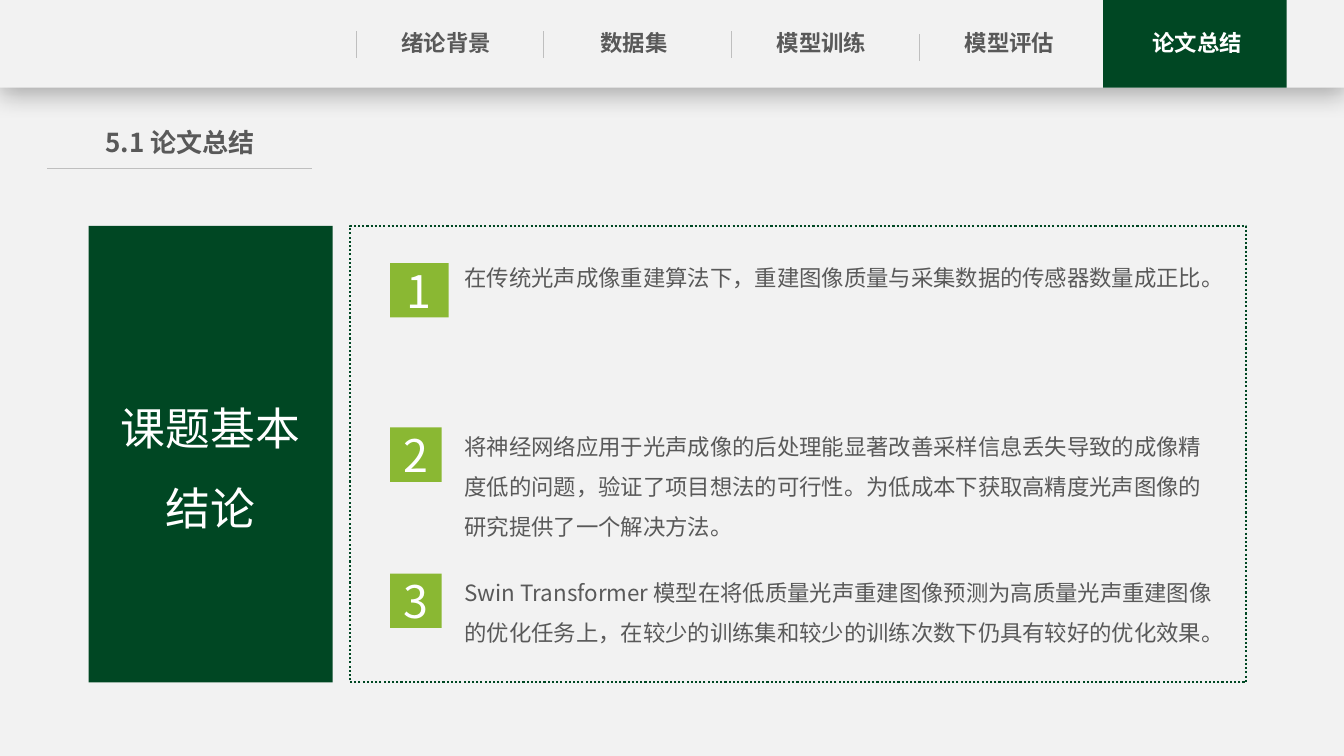
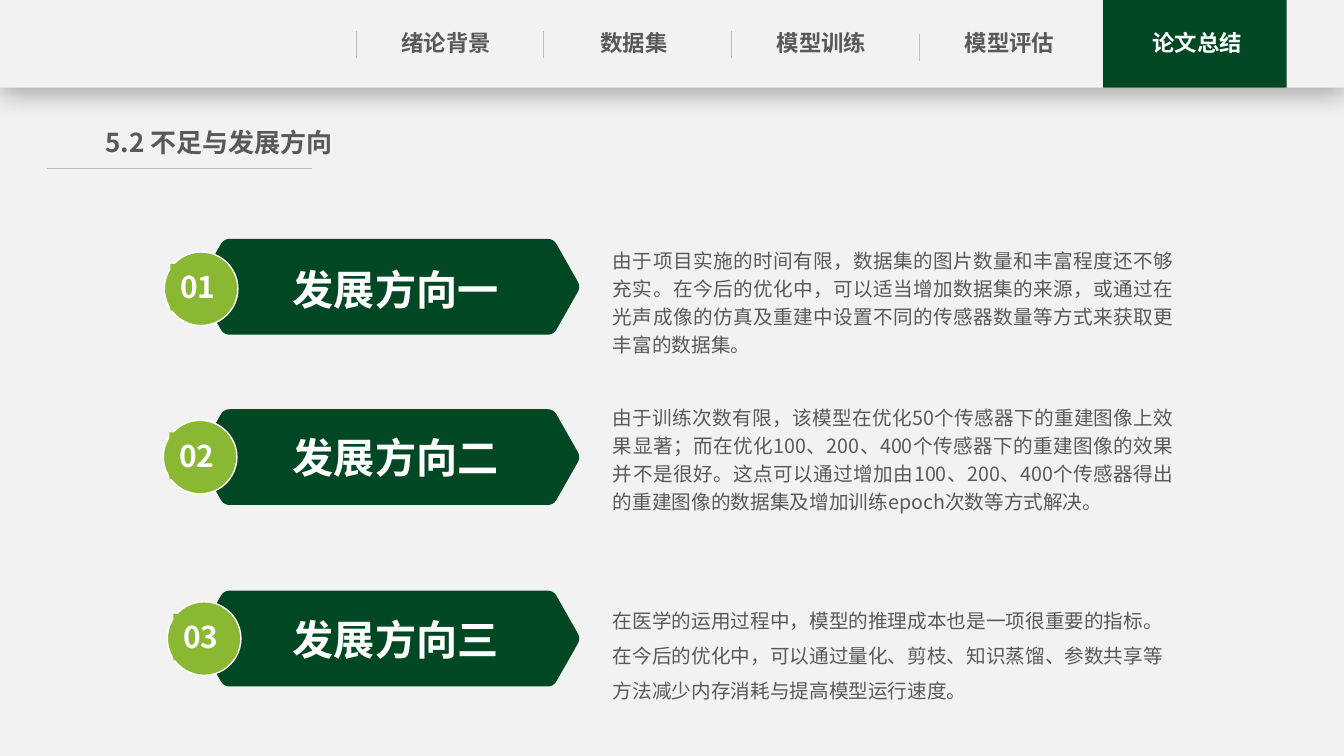
from dataclasses import dataclass
from typing import Optional, Union

import lxml.etree
import pptx
import pptx.dml.color
import pptx.enum.dml
import pptx.enum.shapes
import pptx.enum.text
import pptx.oxml.ns
import pptx.shapes.autoshape
import pptx.shapes.base
import pptx.slide
import pptx.util

Inches = pptx.util.Inches
Pt = pptx.util.Pt
Shape = pptx.shapes.autoshape.Shape
Slide = pptx.slide.Slide
Align = pptx.enum.text.PP_ALIGN
Anchor = pptx.enum.text.MSO_ANCHOR
Preset = pptx.enum.shapes.MSO_SHAPE
qn = pptx.oxml.ns.qn


@dataclass(frozen=True)
class Theme:
    font: str = "Noto Sans CJK SC"
    paper: str = "F2F2F2"
    dark: str = "004723"
    accent: str = "8AB833"
    ink: str = "595959"
    rule: str = "BFBFBF"
    white: str = "FFFFFF"
    nav_size: float = 16
    section_size: float = 18.6
    body_size: float = 16
    detail_size: float = 14
    display_size: float = 32
    number_size: float = 21.4
    heading_size: float = 29.4


THEME = Theme()


@dataclass(frozen=True)
class Box:
    left: float
    top: float
    width: float
    height: float

    def lengths(self) -> tuple[pptx.util.Length, ...]:
        return tuple(Inches(v) for v in (self.left, self.top, self.width, self.height))


@dataclass(frozen=True)
class TextStyle:
    size: float
    color: str = THEME.ink
    bold: bool = False
    align: Align = Align.LEFT
    spacing: Optional[Union[float, pptx.util.Length]] = None
    inset_x: float = 0.1
    inset_y: float = 0.05
    anchor: Anchor = Anchor.TOP
    wrap: bool = True
    grow: bool = True


NAV = TextStyle(THEME.nav_size, bold=True, align=Align.CENTER, inset_x=0)
NAV_CURRENT = TextStyle(THEME.nav_size, THEME.white, True, Align.CENTER, inset_x=0)
SECTION = TextStyle(THEME.section_size, bold=True, align=Align.CENTER, inset_x=0)
FINDING = TextStyle(THEME.body_size, spacing=1.5)
FINDING_NUMBER = TextStyle(THEME.display_size, THEME.white, align=Align.CENTER,
                           anchor=Anchor.MIDDLE, grow=False)
PANEL = TextStyle(THEME.display_size, THEME.white, align=Align.CENTER, spacing=1.5,
                  anchor=Anchor.MIDDLE, grow=False)
DETAIL = TextStyle(THEME.detail_size, align=Align.JUSTIFY, spacing=Pt(20), inset_x=0, inset_y=0)
DETAIL_LOOSE = TextStyle(THEME.detail_size, spacing=1.5, inset_x=0, inset_y=0)
DIRECTION_NUMBER = TextStyle(THEME.number_size, THEME.white, True, wrap=False)
DIRECTION_TITLE = TextStyle(THEME.heading_size, THEME.white, True, Align.CENTER,
                            inset_x=0, inset_y=0)


@dataclass(frozen=True)
class Finding:
    number: str
    text: str
    text_box: Box
    badge_top: float
    badge_width: float = 0.51


@dataclass(frozen=True)
class Direction:
    number: str
    title: str
    arrow_top: float
    badge_left: float
    badge_top: float
    detail: str
    detail_top: float
    detail_height: float
    detail_style: TextStyle = DETAIL


CHAPTERS = ("绪论背景", "数据集", "模型训练", "模型评估", "论文总结")
NAV_PITCH = 1.8625
DIVIDER_TOPS = (0.31, 0.31, 0.31, 0.34)

FINDINGS = (
    Finding("1", "在传统光声成像重建算法下，重建图像质量与采集数据的传感器数量成正比。",
            Box(4.51, 2.44, 7.59, 0.5), 2.61, 0.58),
    Finding("2", "将神经网络应用于光声成像的后处理能显著改善采样信息丢失导致的成像精度低的问题，"
            "验证了项目想法的可行性。为低成本下获取高精度光声图像的研究提供了一个解决方法。",
            Box(4.51, 4.11, 7.68, 1.31), 4.24),
    Finding("3", "Swin Transformer 模型在将低质量光声重建图像预测为高质量光声重建图像的优化任务上，"
            "在较少的训练集和较少的训练次数下仍具有较好的优化效果。",
            Box(4.51, 5.56, 7.68, 0.91), 5.69),
)

DIRECTIONS = (
    Direction("01", "发展方向一", 2.37, 1.63, 2.5,
              "由于项目实施的时间有限，数据集的图片数量和丰富程度还不够充实。在今后的优化中，"
              "可以适当增加数据集的来源，或通过在光声成像的仿真及重建中设置不同的传感器数量"
              "等方式来获取更丰富的数据集。", 2.42, 1.12),
    Direction("02", "发展方向二", 4.06, 1.62, 4.17,
              "由于训练次数有限，该模型在优化50个传感器下的重建图像上效果显著；而在优化"
              "100、200、400个传感器下的重建图像的效果并不是很好。这点可以通过增加由"
              "100、200、400个传感器得出的重建图像的数据集及增加训练epoch次数等方式解决。",
              3.98, 1.12),
    Direction("03", "发展方向三", 5.86, 1.66, 5.97,
              "在医学的运用过程中，模型的推理成本也是一项很重要的指标。在今后的优化中，"
              "可以通过量化、剪枝、知识蒸馏、参数共享等方法减少内存消耗与提高模型运行速度。",
              5.92, 1.06, DETAIL_LOOSE),
)


def rgb(value: str) -> pptx.dml.color.RGBColor:
    return pptx.dml.color.RGBColor.from_string(value)


def write(shape: Shape, text: str, style: TextStyle) -> None:
    frame = shape.text_frame
    frame.text = text
    frame.word_wrap = style.wrap
    frame.vertical_anchor = style.anchor
    frame.margin_left = frame.margin_right = Inches(style.inset_x)
    frame.margin_top = frame.margin_bottom = Inches(style.inset_y)
    if style.grow:
        frame.auto_size = pptx.enum.text.MSO_AUTO_SIZE.SHAPE_TO_FIT_TEXT
    for paragraph in frame.paragraphs:
        paragraph.alignment = style.align
        paragraph.line_spacing = style.spacing
        for run in paragraph.runs:
            run.font.size = Pt(style.size)
            run.font.bold = style.bold
            run.font.color.rgb = rgb(style.color)
            run.font.name = THEME.font
            east_asian = lxml.etree.SubElement(run._r.get_or_add_rPr(), qn("a:ea"))
            east_asian.set("typeface", THEME.font)


def add_text(slide: Slide, box: Box, text: str, style: TextStyle) -> None:
    write(slide.shapes.add_textbox(*box.lengths()), text, style)


def paint(shape: Shape, fill: Optional[str], line: Optional[str] = None, width: float = 1) -> None:
    shape.shadow.inherit = False
    if fill:
        shape.fill.solid()
        shape.fill.fore_color.rgb = rgb(fill)
    else:
        shape.fill.background()
    if line:
        shape.line.color.rgb = rgb(line)
        shape.line.width = Pt(width)
    else:
        shape.line.fill.background()


def add_block(slide: Slide, box: Box, fill: Optional[str], line: Optional[str] = None,
              width: float = 1, preset: Preset = Preset.RECTANGLE) -> Shape:
    block = slide.shapes.add_shape(preset, *box.lengths())
    paint(block, fill, line, width)
    return block


def add_rule(slide: Slide, x1: float, y1: float, x2: float, y2: float) -> None:
    rule = slide.shapes.add_connector(pptx.enum.shapes.MSO_CONNECTOR.STRAIGHT,
                                      Inches(x1), Inches(y1), Inches(x2), Inches(y2))
    rule.line.color.rgb = rgb(THEME.rule)
    rule.line.width = Pt(0.5)
    lxml.etree.SubElement(rule._element.spPr, qn("a:effectLst"))


def cast_shadow(shape: Shape) -> None:
    effects = shape._element.spPr.find(qn("a:effectLst"))
    shadow = lxml.etree.SubElement(effects, qn("a:outerShdw"), blurRad=str(Pt(18)),
                                   dist=str(Pt(4)), dir="5400000", algn="t", rotWithShape="0")
    color = lxml.etree.SubElement(shadow, qn("a:srgbClr"), val="000000")
    lxml.etree.SubElement(color, qn("a:alpha"), val="29000")


def add_arrow(slide: Slide, top: float) -> None:
    corners = ((2.22, 0), (5.49, 0), (5.76, 0.475), (5.49, 0.95), (2.22, 0.95), (1.95, 0.475))
    cut, steps = 0.06, 6
    outline = []
    for index, (x, y) in enumerate(corners):
        ends = []
        for nx, ny in (corners[index - 1], corners[(index + 1) % len(corners)]):
            share = cut / ((nx - x) ** 2 + (ny - y) ** 2) ** 0.5
            ends.append((x + (nx - x) * share, y + (ny - y) * share))
        (ax, ay), (bx, by) = ends
        for step in range(steps + 1):
            t = step / steps
            a, c, b = (1 - t) ** 2, 2 * t * (1 - t), t ** 2
            outline.append((Inches(a * ax + c * x + b * bx),
                            Inches(top + a * ay + c * y + b * by)))
    builder = slide.shapes.build_freeform(*outline[0])
    builder.add_line_segments(outline[1:], close=True)
    paint(builder.convert_to_shape(), THEME.dark)


def add_page(deck: pptx.presentation.Presentation, section: str, section_box: Box) -> Slide:
    slide = deck.slides.add_slide(deck.slide_layouts[6])
    cast_shadow(add_block(slide, Box(0, 0, 13.33, 0.87), THEME.paper))
    add_block(slide, Box(10.94, 0, 1.82, 0.87), THEME.dark)
    for index, chapter in enumerate(CHAPTERS):
        style = NAV_CURRENT if chapter == CHAPTERS[-1] else NAV
        add_text(slide, Box(3.69 + index * NAV_PITCH, 0.24, 1.47, 0.37), chapter, style)
    for index, top in enumerate(DIVIDER_TOPS):
        x = 3.53 + index * NAV_PITCH
        add_rule(slide, x, top, x, top + 0.27)
    add_rule(slide, 0.47, 1.67, 3.09, 1.67)
    add_text(slide, section_box, section, SECTION)
    return slide


def add_finding(slide: Slide, finding: Finding) -> None:
    add_text(slide, finding.text_box, finding.text, FINDING)
    badge = add_block(slide, Box(3.87, finding.badge_top, finding.badge_width, 0.54), THEME.accent)
    write(badge, finding.number, FINDING_NUMBER)


def add_direction(slide: Slide, direction: Direction) -> None:
    left, top = direction.badge_left, direction.badge_top
    add_arrow(slide, direction.arrow_top)
    add_block(slide, Box(left, top, 0.73, 0.73), THEME.accent, THEME.white, preset=Preset.OVAL)
    number = add_block(slide, Box(left + 0.06, top + 0.12, 0.57, 0.46), THEME.accent)
    write(number, direction.number, DIRECTION_NUMBER)
    add_text(slide, Box(2.67, top + 0.12, 2.51, 0.49), direction.title, DIRECTION_TITLE)
    add_text(slide, Box(6.08, direction.detail_top, 5.56, direction.detail_height),
             direction.detail, direction.detail_style)


def main() -> None:
    deck = pptx.Presentation()
    deck.slide_width, deck.slide_height = Inches(13.33), Inches(7.5)
    backdrop = deck.slide_master.background.fill
    backdrop.solid()
    backdrop.fore_color.rgb = rgb(THEME.paper)

    summary = add_page(deck, "5.1 论文总结", Box(0.75, 1.21, 2.07, 0.42))
    frame = add_block(summary, Box(3.47, 2.24, 8.89, 4.53), None, THEME.dark, 1.5)
    frame.line.dash_style = pptx.enum.dml.MSO_LINE.ROUND_DOT
    for finding in FINDINGS:
        add_finding(summary, finding)
    panel = add_block(summary, Box(0.88, 2.24, 2.42, 4.53), THEME.dark)
    write(panel, "课题基本\n结论", PANEL)

    outlook = add_page(deck, "5.2 不足与发展方向", Box(1, 1.21, 2.35, 0.42))
    for direction in DIRECTIONS:
        add_direction(outlook, direction)

    deck.save("out.pptx")


if __name__ == "__main__":
    main()
